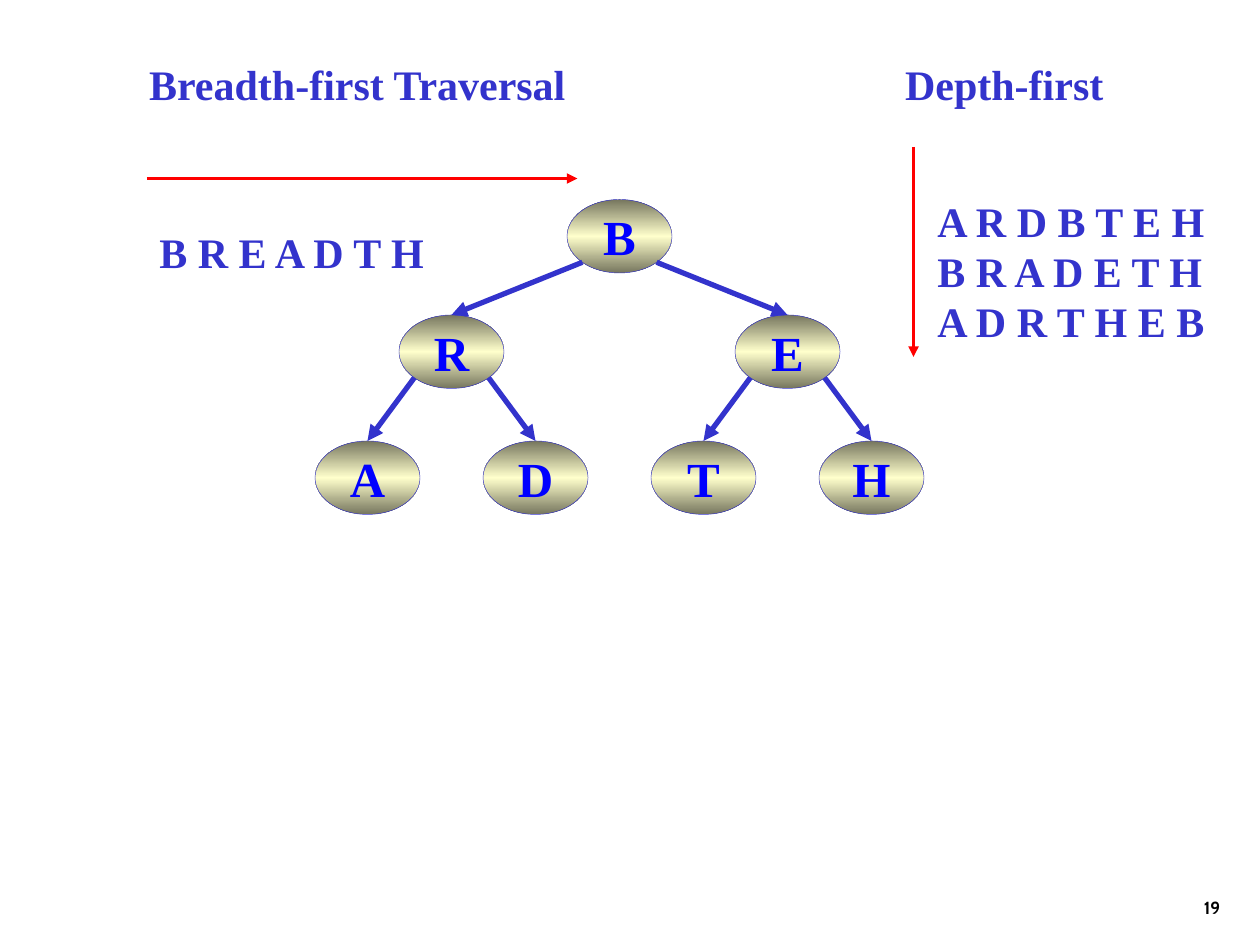
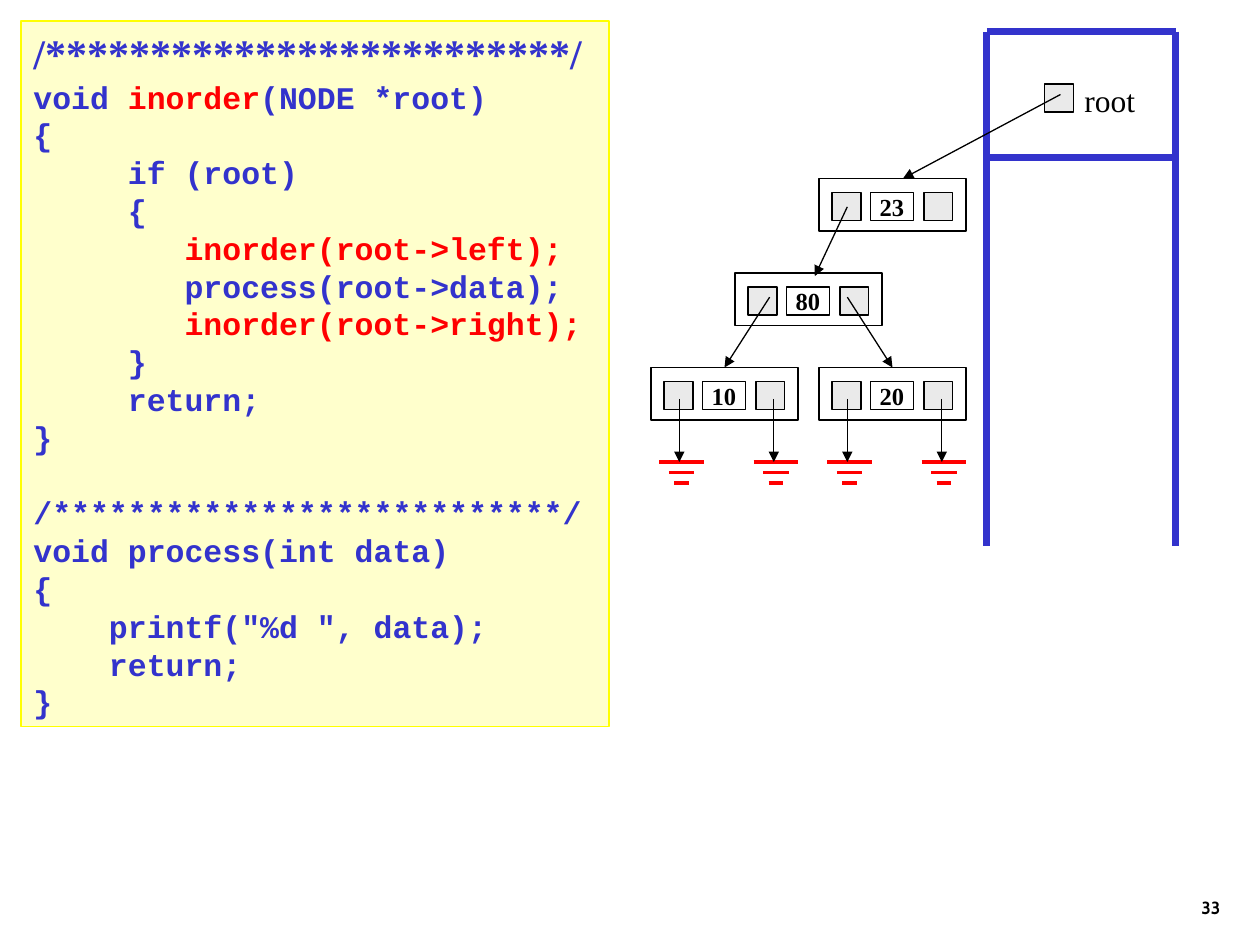
from copy import deepcopy

from lxml import etree
from pptx import Presentation
from pptx import util as u
from pptx.dml.color import RGBColor
from pptx.enum import shapes, text
from pptx.oxml import ns

COLORS = {
    "ink": "3333CC",
    "letter": "0000FF",
    "red": "FF0000",
    "black": "000000",
    "white": "FFFFFF",
    "cream": "FFFFCC",
    "olive": "76765E",
    "yellow": "FFFF00",
    "gray": "EAEAEA",
}
SERIF, MONO, FOOTER = "Times New Roman", "Courier New", "Cabin"
WIDTH, HEIGHT = u.Inches(10), u.Inches(7.5)
UNIT = WIDTH / 120
LINE_HEIGHT = 1.2
OVAL_WIDTH, OVAL_HEIGHT = 10, 7
DIAGONAL = 0.354
RECORD_WIDTH, RECORD_HEIGHT = 14, 5
CELL_WIDTH, CELL_HEIGHT = 2.75, 2.67

CODE = """/*************************/
void |inorder|(NODE *root)
{
     if (root)
     {
        |inorder(root->left);
        process(root->data);
        |inorder(root->right);
     }
     return;
}
/***************************/
void process(int data)
{
    printf("%d ", data);
    return;
}"""


def rgb(name):
    return RGBColor.from_string(COLORS[name])


def grid(*values):
    return [u.Emu(round(value * UNIT)) for value in values]


def style(paragraph, size, color, font=SERIF, bold=True):
    paragraph.line_spacing = u.Pt(round(size * LINE_HEIGHT, 1))
    for run in paragraph.runs:
        run.font.name = font
        run.font.size = u.Pt(size)
        run.font.bold = bold
        run.font.color.rgb = rgb(color)


def add_label(slide, box, words, size=24, color="ink", font=SERIF, bold=True,
              wrap=False, indent=0):
    shape = slide.shapes.add_textbox(*grid(*box))
    frame = shape.text_frame
    frame.word_wrap = wrap
    frame.auto_size = text.MSO_AUTO_SIZE.SHAPE_TO_FIT_TEXT
    frame.margin_left = u.Inches(0.1 + indent)
    frame.text = words
    for paragraph in frame.paragraphs:
        style(paragraph, size, color, font, bold)
    return frame


def add_page_number(slide, number):
    frame = add_label(slide, (92.4, 82, 25, 6), str(number), 10, "black", FOOTER, wrap=True)
    frame.auto_size = text.MSO_AUTO_SIZE.NONE
    frame.vertical_anchor = text.MSO_ANCHOR.BOTTOM
    frame.paragraphs[0].alignment = text.PP_ALIGN.RIGHT


def add_line(slide, start, end, color, width, arrow=False):
    line = slide.shapes.add_connector(
        shapes.MSO_CONNECTOR.STRAIGHT, *grid(*start, *end))
    line.line.color.rgb = rgb(color)
    line.line.width = u.Pt(width)
    if arrow:
        etree.SubElement(line.line._get_or_add_ln(), ns.qn("a:tailEnd"), type="triangle")
    etree.SubElement(line._element.spPr, ns.qn("a:effectLst"))


def add_block(slide, box, fill="white", outline="black", width=0.75,
              kind=shapes.MSO_SHAPE.RECTANGLE):
    shape = slide.shapes.add_shape(kind, *grid(*box))
    shape.shadow.inherit = False
    shape.fill.solid()
    shape.fill.fore_color.rgb = rgb(fill)
    shape.line.color.rgb = rgb(outline)
    shape.line.width = u.Pt(width)
    return shape


def write_centered(shape, words, size, color):
    frame = shape.text_frame
    frame.word_wrap = False
    frame.vertical_anchor = text.MSO_ANCHOR.MIDDLE
    frame.text = words
    frame.paragraphs[0].alignment = text.PP_ALIGN.CENTER
    style(frame.paragraphs[0], size, color)


def fill_metallic(shape):
    shape.fill.gradient()
    shape.fill.gradient_angle = 90
    first = shape._element.spPr.find(".//" + ns.qn("a:gs"))
    first.addnext(deepcopy(first))
    for stop, (position, color) in zip(
            shape.fill.gradient_stops, ((0, "olive"), (0.5, "cream"), (1, "olive"))):
        stop.position = position
        stop.color.rgb = rgb(color)


def add_oval(slide, center, top, letter):
    box = (center - OVAL_WIDTH / 2, top, OVAL_WIDTH, OVAL_HEIGHT)
    oval = add_block(slide, box, "cream", "ink", 0.25, shapes.MSO_SHAPE.OVAL)
    fill_metallic(oval)
    write_centered(oval, letter, 28, "letter")


def add_letter_tree(slide):
    parents = []
    for letters, top in (("B", 19), ("RE", 30), ("ADTH", 42)):
        pitch = 64 / len(letters)
        nodes = [(27 + pitch * (i + 0.5), top) for i in range(len(letters))]
        for i, (letter, (center, _)) in enumerate(zip(letters, nodes)):
            add_oval(slide, center, top, letter)
            if parents:
                parent_center, parent_top = parents[i // 2]
                side = 1 if i % 2 else -1
                start = (parent_center + side * DIAGONAL * OVAL_WIDTH,
                         parent_top + (0.5 + DIAGONAL) * OVAL_HEIGHT)
                add_line(slide, start, (center, top), "ink", 3, True)
        parents = nodes


def add_code(slide):
    shape = add_block(slide, (2, 2, 56, 67.2), "cream", "yellow")
    frame = shape.text_frame
    frame.word_wrap = True
    frame.vertical_anchor = text.MSO_ANCHOR.TOP
    for i, code_line in enumerate(CODE.split("\n")):
        paragraph = frame.add_paragraph() if i else frame.paragraphs[0]
        paragraph.alignment = text.PP_ALIGN.LEFT
        for part in code_line.split("|"):
            paragraph.add_run().text = part
        style(paragraph, 18 if i else 24, "ink", MONO if i else SERIF)
        for run in paragraph.runs[1::2]:
            run.font.color.rgb = rgb("red")
        if i and code_line.startswith("/*"):
            paragraph.space_before = u.Pt(18 * LINE_HEIGHT)


def add_stack(slide):
    left, right, top, bottom = 94, 112, 3, 52
    for y in (top, 15):
        add_line(slide, (left, y), (right, y), "ink", 4)
    for x in (left, right):
        add_line(slide, (x, top), (x, bottom), "ink", 4)
    add_label(slide, (102.1, 7.1, 7.2, 4.8), "root", 18, "black", bold=False)
    add_block(slide, (99.5, 8, CELL_WIDTH, CELL_HEIGHT), "gray")


def add_record(slide, left, top, value):
    add_block(slide, (left, top, RECORD_WIDTH, RECORD_HEIGHT))
    for offset in (1.25, 10):
        add_block(slide, (left + offset, top + 1.33, CELL_WIDTH, CELL_HEIGHT), "gray")
    data = add_block(slide, (left + 4.9, top + 1.33, 4.1, CELL_HEIGHT))
    write_centered(data, value, 14, "black")


def add_null(slide, x, top):
    middle = x + 0.2
    for row, width in enumerate((4.25, 2.4, 1.4)):
        y = top + 6 + row
        add_line(slide, (middle - width / 2, y), (middle + width / 2, y), "red", 2)
    add_line(slide, (x, top), (x, top + 6), "black", 0.75, True)


def add_record_tree(slide):
    for left, top, value in ((78, 17, "23"), (70, 26, "80"), (62, 35, "10"), (78, 35, "20")):
        add_record(slide, left, top, value)
    for start, end in (((101, 9), (86, 17)), ((80.7, 19.7), (77.6, 26.3)),
                       ((73.3, 28.3), (69, 35)), ((80.7, 28.3), (85, 35))):
        add_line(slide, start, end, "black", 0.75, True)
    for left in (62, 78):
        for offset in (2.7, 11.7):
            add_null(slide, left + offset, 38)


def add_traversal_slide(slide):
    add_page_number(slide, 19)
    add_label(slide, (7, 5, 56, 6), "Breadth-first Traversal", wrap=True, indent=0.5)
    add_label(slide, (79, 5, 32, 6), "Depth-first", wrap=True, indent=0.5)
    add_line(slide, (14, 17), (55, 17), "red", 2, True)
    add_line(slide, (87, 14), (87, 34), "red", 2, True)
    add_label(slide, (14, 21, 28.2, 6), "B R E A D T H")
    add_label(slide, (88.1, 18, 28.2, 15.6), "A R D B T E H\nB R A D E T H\nA D R T H E B")
    add_letter_tree(slide)


def add_inorder_slide(slide):
    add_page_number(slide, 33)
    add_code(slide)
    add_stack(slide)
    add_record_tree(slide)


def main():
    presentation = Presentation()
    presentation.slide_width, presentation.slide_height = WIDTH, HEIGHT
    for build in (add_traversal_slide, add_inorder_slide):
        build(presentation.slides.add_slide(presentation.slide_layouts[6]))
    presentation.save("out.pptx")


if __name__ == "__main__":
    main()
